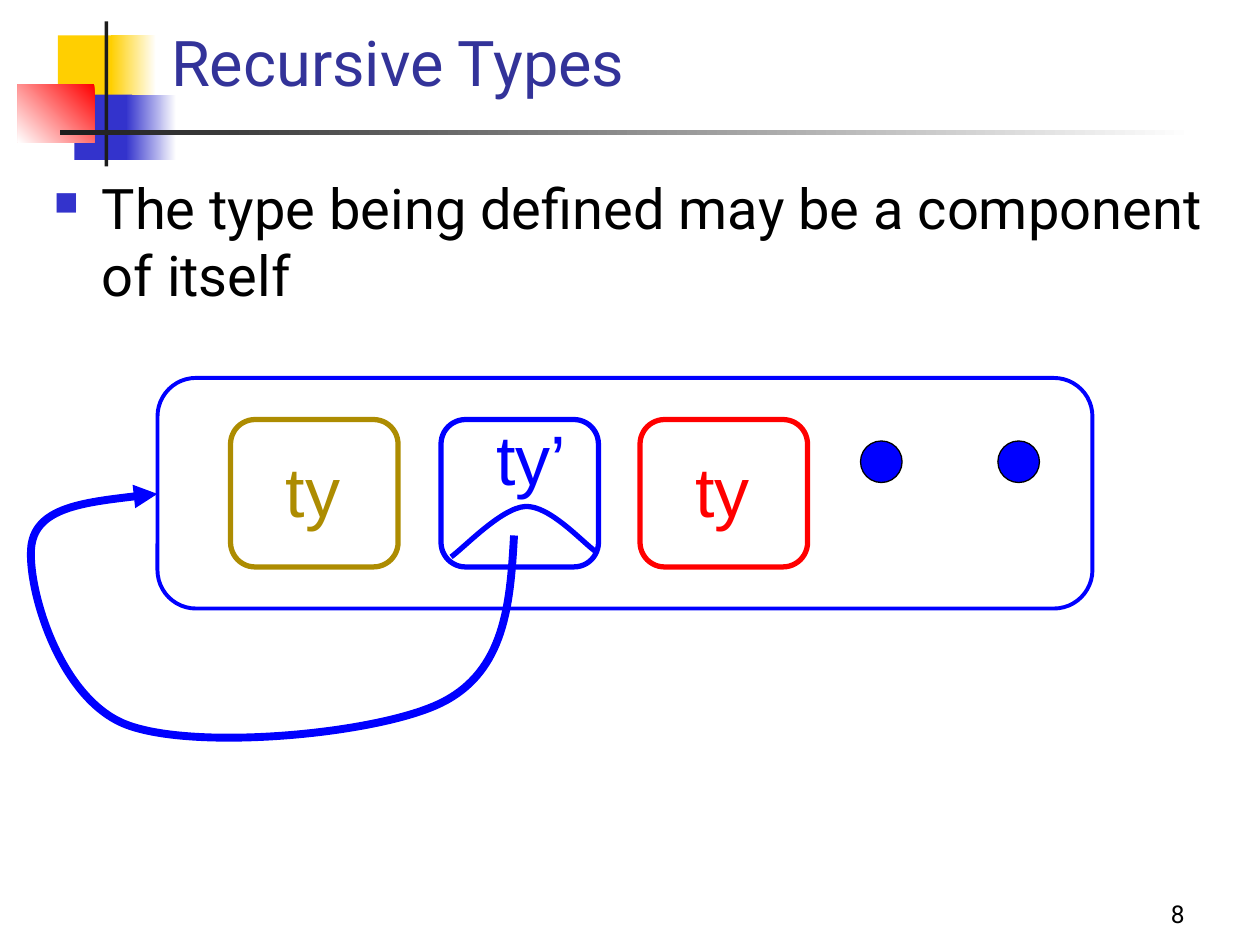
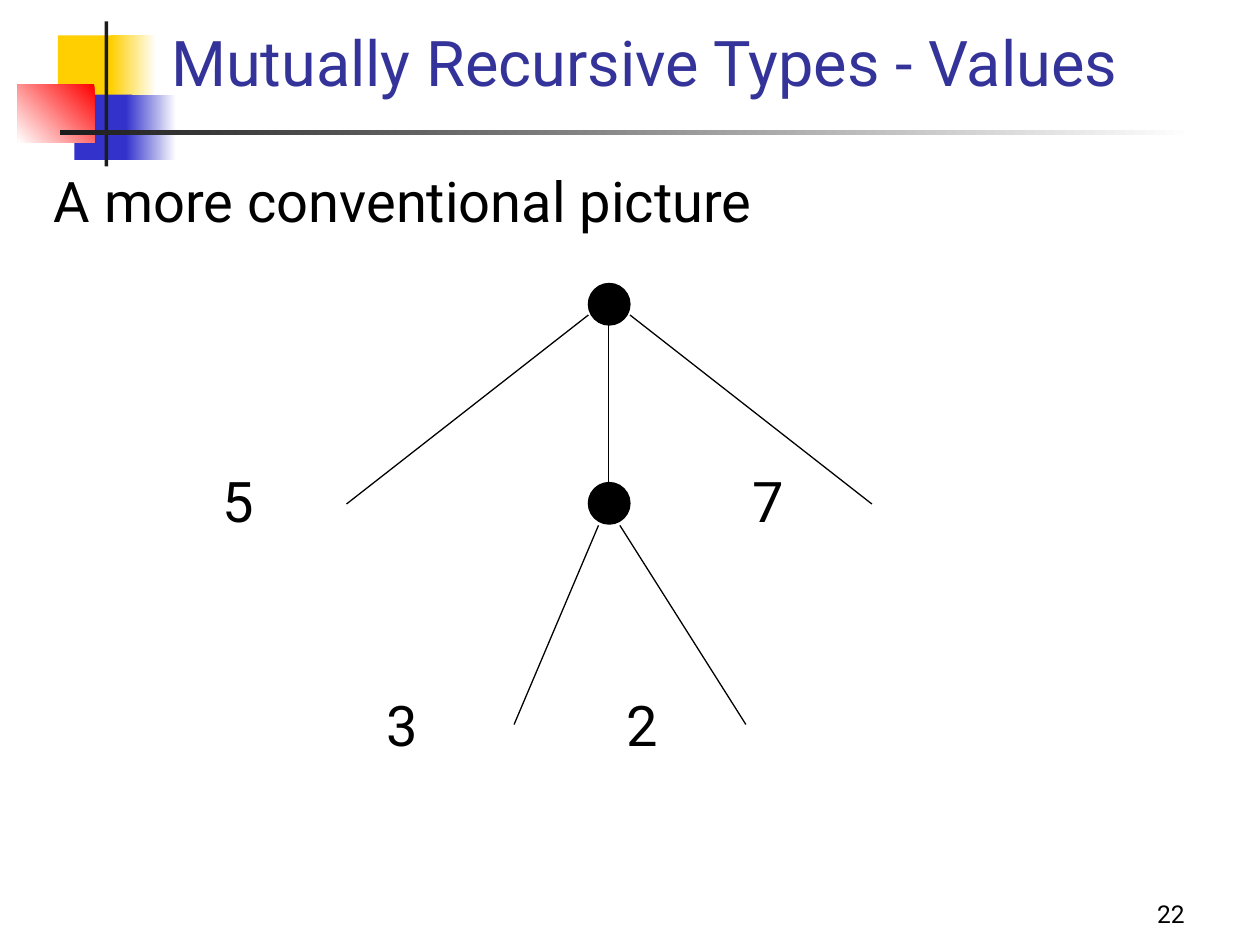
from dataclasses import dataclass

from lxml import etree
from pptx import Presentation
from pptx.dml.color import RGBColor
from pptx.enum.shapes import MSO_CONNECTOR, MSO_SHAPE
from pptx.enum.text import MSO_ANCHOR, PP_ALIGN
from pptx.oxml.ns import qn
from pptx.util import Inches, Pt


@dataclass(frozen=True)
class Theme:
    yellow: str = "FFCF01"
    indigo: str = "3333CC"
    red: str = "FF0000"
    white: str = "FFFFFF"
    charcoal: str = "1C1C1C"
    title: str = "333399"
    black: str = "000000"
    blue: str = "0000FF"
    gold: str = "AD8C01"
    font: str = "Roboto"
    type_font: str = "Arial"
    title_size: int = 36
    body_size: int = 32
    type_size: int = 40
    number_size: int = 14


theme = Theme()


def add_text(slide, box, text, size, color=theme.black, font=theme.font,
             anchor=MSO_ANCHOR.TOP, align=PP_ALIGN.LEFT):
    """Add a one-paragraph text box and return its paragraph."""
    frame = slide.shapes.add_textbox(*map(Inches, box)).text_frame
    frame.word_wrap = True
    frame.vertical_anchor = anchor
    paragraph = frame.paragraphs[0]
    paragraph.text = text
    paragraph.alignment = align
    paragraph.font.size = Pt(size)
    paragraph.font.name = font
    paragraph.font.color.rgb = RGBColor.from_string(color)
    return paragraph


def add_figure(slide, kind, box, fill=None, line=None, width=0.75):
    """Add a preset shape; fill is a colour or (start, end, angle)."""
    figure = slide.shapes.add_shape(kind, *map(Inches, box))
    figure.shadow.inherit = False
    if fill is None:
        figure.fill.background()
    elif isinstance(fill, str):
        figure.fill.solid()
        figure.fill.fore_color.rgb = RGBColor.from_string(fill)
    else:
        *ends, angle = fill
        figure.fill.gradient()
        figure.fill.gradient_angle = angle
        for stop, color in zip(figure.fill.gradient_stops, ends):
            stop.color.rgb = RGBColor.from_string(color)
    if line is None:
        figure.line.fill.background()
    else:
        figure.line.color.rgb = RGBColor.from_string(line)
        figure.line.width = Pt(width)
    return figure


prs = Presentation()
prs.slide_width, prs.slide_height = Inches(10), Inches(7.5)

# Shared corner ornament, rule, title and slide number
ornament = [
    ((0.46, 0.28, 0.48, 0.52), theme.yellow),
    ((0.88, 0.28, 0.36, 0.52), (theme.white, theme.yellow, 180)),
    ((0.59, 0.75, 0.46, 0.52), theme.indigo),
    ((1, 0.75, 0.4, 0.52), (theme.white, theme.indigo, 180)),
    ((0.14, 0.67, 0.61, 0.46), (theme.red, theme.white, 225)),
    ((0.83, 0.17, 0.03, 1.15), theme.charcoal),
    ((0.48, 1.03, 9, 0.04), (theme.white, theme.charcoal, 180)),
]
slides = []
for title, number in [("Recursive Types", "8"),
                      ("Mutually Recursive Types - Values", "22")]:
    slide = prs.slides.add_slide(prs.slide_layouts[6])
    for box, fill in ornament:
        add_figure(slide, MSO_SHAPE.RECTANGLE, box, fill)
    add_text(slide, (7.42, 6.92, 2.08, 0.5), number, theme.number_size,
             anchor=MSO_ANCHOR.BOTTOM, align=PP_ALIGN.RIGHT)
    add_text(slide, (1.26, 0.18, 8.52, 0.66), title, theme.title_size,
             theme.title, anchor=MSO_ANCHOR.BOTTOM)
    slides.append(slide)
recursive, tree = slides

# Recursive types: bulleted statement
statement = add_text(recursive, (0.33, 1.33, 9.46, 1.4),
                     "The type being defined may be a component of itself",
                     theme.body_size)
statement.space_before = Pt(8)
props = statement._p.get_or_add_pPr()
props.set("marL", str(Inches(0.38)))
props.set("indent", str(-Inches(0.38)))
bullet_color = etree.SubElement(props, qn("a:buClr"))
etree.SubElement(bullet_color, qn("a:srgbClr"), val=theme.indigo)
etree.SubElement(props, qn("a:buSzPct"), val="60000")
etree.SubElement(props, qn("a:buChar"), char="■")
for tag in ("a:buClr", "a:buSzPct", "a:buChar"):
    props.find(qn("a:defRPr")).addprevious(props.find(qn(tag)))

# Recursive types: outer type, dots and component types
add_figure(recursive, MSO_SHAPE.ROUNDED_RECTANGLE, (1.25, 3, 7.42, 1.83),
           line=theme.blue, width=2.25)
for left in (6.83, 7.92):
    add_figure(recursive, MSO_SHAPE.OVAL, (left, 3.5, 0.33, 0.33),
               theme.blue, theme.black)
for left, width, label, label_top, color in [
    (1.83, 1.33, "ty", 3.5, theme.gold),
    (3.5, 1.25, "ty’", 3.25, theme.blue),
    (5.08, 1.33, "ty", 3.5, theme.red),
]:
    add_figure(recursive, MSO_SHAPE.ROUNDED_RECTANGLE,
               (left, 3.33, width, 1.17), line=color, width=3)
    add_text(recursive, (left + 0.34, label_top, 1.08, 0.77), label,
             theme.type_size, color, theme.type_font).space_before = Pt(25)

# Recursive types: flap and the arrow back to the outer type
flap = [(3.58, 4.42), (3.68, 4.35), (3.98, 4.03), (4.17, 4.02),
        (4.36, 4.01), (4.62, 4.3), (4.73, 4.38)]
self_reference = [(4.08, 4.25), (4.05, 4.79), (4.01, 5.33), (3.5, 5.58),
                  (2.99, 5.83), (1.54, 5.96), (1, 5.75),
                  (0.46, 5.54), (0.21, 4.64), (0.25, 4.33),
                  (0.29, 4.03), (0.77, 3.97), (1.25, 3.92)]
for points, width, arrow in [(flap, 3, False), (self_reference, 4.5, True)]:
    start, *rest = [(Inches(x), Inches(y)) for x, y in points]
    builder = recursive.shapes.build_freeform(*start)
    builder.add_line_segments(rest, close=False)
    curve = builder.convert_to_shape()
    curve.shadow.inherit = False
    curve.fill.background()
    curve.line.color.rgb = RGBColor.from_string(theme.blue)
    curve.line.width = Pt(width)
    # Each three points become one Bézier segment
    segments = curve._element.xpath(".//a:lnTo")
    for i in range(0, len(segments), 3):
        bezier = etree.Element(qn("a:cubicBezTo"))
        segments[i].addprevious(bezier)
        for segment in segments[i:i + 3]:
            bezier.append(segment[0])
            segment.getparent().remove(segment)
    if arrow:
        etree.SubElement(curve.line._get_or_add_ln(), qn("a:tailEnd"),
                         type="triangle")

# Tree: heading
heading = add_text(tree, (0.33, 1.33, 9.46, 0.65),
                   "A more conventional picture", theme.body_size)
heading.line_spacing = 0.9
heading.space_before = Pt(8)

# Tree: nodes and branches
for top in (2.25, 3.83):
    add_figure(tree, MSO_SHAPE.OVAL, (4.67, top, 0.33, 0.33),
               theme.black, theme.black)
for ends in [(4.67, 2.5, 2.75, 4), (4.83, 2.58, 4.83, 3.83),
             (5, 2.5, 6.92, 4), (4.75, 4.17, 4.08, 5.75),
             (4.92, 4.17, 5.92, 5.75)]:
    branch = tree.shapes.add_connector(MSO_CONNECTOR.STRAIGHT,
                                       *map(Inches, ends))
    branch.line.color.rgb = RGBColor.from_string(theme.black)
    branch.line.width = Pt(0.75)
    etree.SubElement(branch._element.spPr, qn("a:effectLst"))

# Tree: leaf values, centred on x and y
for value, x, y in [("5", 1.89, 3.97), ("7", 6.1, 3.97),
                    ("3", 3.19, 5.75), ("2", 5.1, 5.75)]:
    add_text(tree, (x - 0.3, y - 0.32, 0.6, 0.64), value, theme.body_size,
             anchor=MSO_ANCHOR.MIDDLE, align=PP_ALIGN.CENTER)

prs.save("out.pptx")
